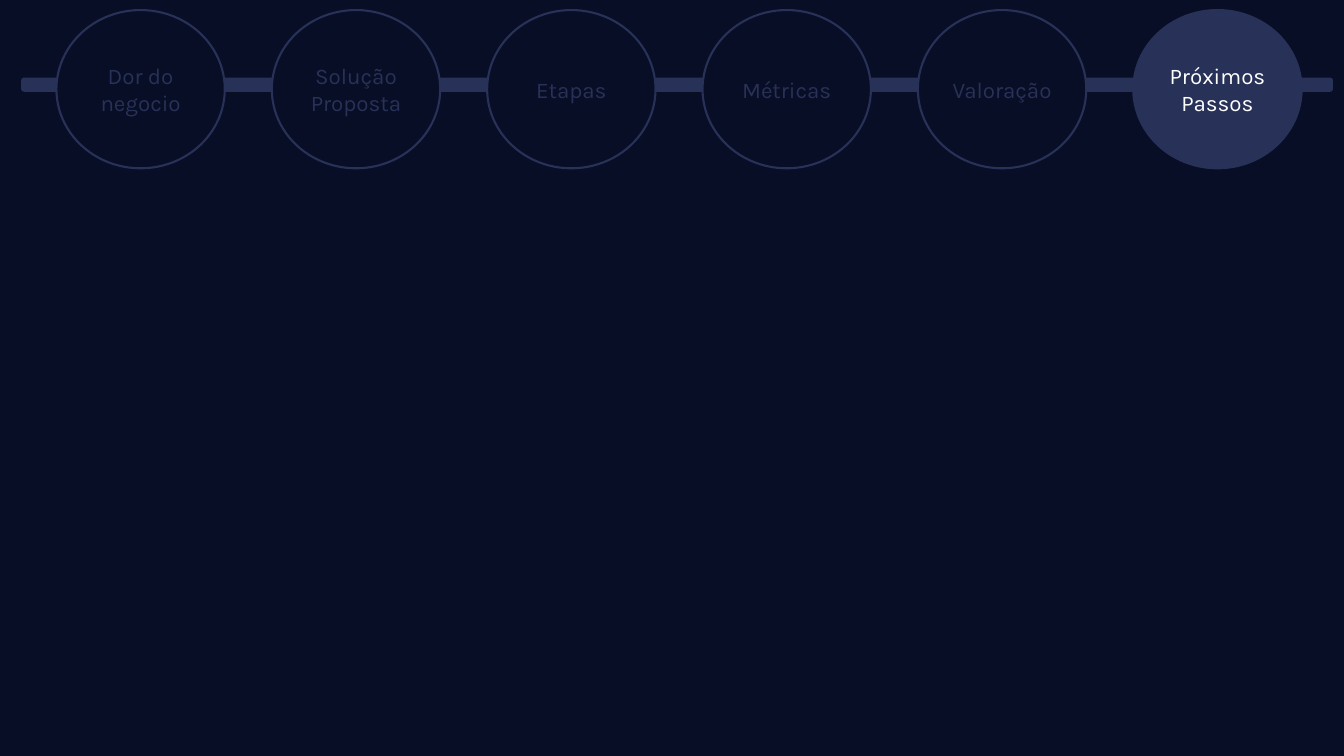
from dataclasses import dataclass

from pptx import Presentation
from pptx import util as u
from pptx.dml.color import RGBColor
from pptx.enum import shapes, text
from pptx.shapes.autoshape import Shape
from pptx.slide import Slide

NIGHT, SLATE, WHITE = "080E26", "283157", "FFFFFF"
WIDE, HIGH = 13.33, 7.5

# The step grid: first and last column edges, then the size of a step.
FIRST, LAST, TOP = 0.56, 11.24, 0.1
STEP_W, STEP_H = 1.67, 1.57


@dataclass(frozen=True)
class Step:
    label: str
    fill: str = NIGHT
    ink: str = SLATE


STEPS = (
    Step("Dor do negocio"),
    Step("Solução Proposta"),
    Step("Etapas"),
    Step("Métricas"),
    Step("Valoração"),
    Step("Próximos Passos", fill=SLATE, ink=WHITE),
)
PITCH = (LAST - FIRST) / (len(STEPS) - 1)


def color(code: str) -> RGBColor:
    return RGBColor.from_string(code)


def draw_shape(slide: Slide, kind: shapes.MSO_SHAPE, left: float, top: float,
               width: float, height: float, fill: str) -> Shape:
    """Add a shape, in inches, with the slate outline all parts share."""
    box = [u.Inches(size) for size in (left, top, width, height)]
    shape = slide.shapes.add_shape(kind, *box)
    shape.shadow.inherit = False
    shape.fill.solid()
    shape.fill.fore_color.rgb = color(fill)
    shape.line.color.rgb = color(SLATE)
    shape.line.width = u.Pt(1.5)
    return shape


def draw_step(slide: Slide, col: int, step: Step) -> None:
    shape = draw_shape(slide, shapes.MSO_SHAPE.FLOWCHART_CONNECTOR,
                       FIRST + col * PITCH, TOP, STEP_W, STEP_H, step.fill)
    frame = shape.text_frame
    frame.word_wrap = True
    frame.vertical_anchor = text.MSO_ANCHOR.MIDDLE
    par = frame.paragraphs[0]
    par.alignment = text.PP_ALIGN.CENTER
    run = par.add_run()
    run.text = step.label
    for name, value in {"name": "Karla", "size": u.Pt(16)}.items():
        setattr(run.font, name, value)
    run.font.color.rgb = color(step.ink)


def main() -> None:
    deck = Presentation()
    deck.slide_width, deck.slide_height = u.Inches(WIDE), u.Inches(HIGH)
    slide = deck.slides.add_slide(deck.slide_layouts[6])
    slide.background.fill.solid()
    slide.background.fill.fore_color.rgb = color(NIGHT)

    draw_shape(slide, shapes.MSO_SHAPE.ROUNDED_RECTANGLE,
               0.22, 0.78, 12.99, 0.12, SLATE)
    for col, step in enumerate(STEPS):
        draw_step(slide, col, step)
    deck.save("out.pptx")


if __name__ == "__main__":
    main()
